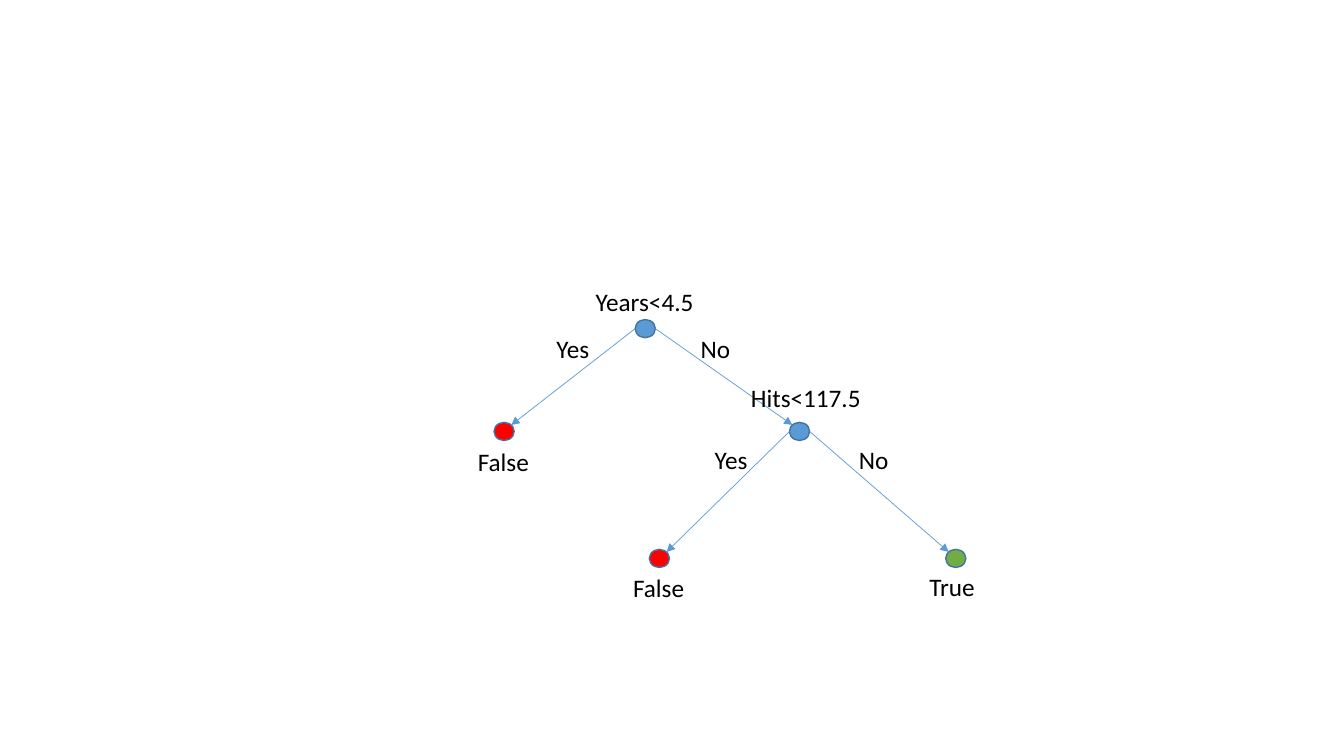
from pptx import Presentation
from pptx import util as u
from pptx.dml.color import RGBColor
from pptx.enum import shapes, text
from pptx.oxml.ns import qn
from lxml import etree

BLUE = RGBColor(0x5B, 0x9B, 0xD5)
EDGE = RGBColor(0x43, 0x73, 0x9E)
RED = RGBColor(0xFF, 0x00, 0x00)
GREEN = RGBColor(0x70, 0xAD, 0x47)
BLACK = RGBColor(0x00, 0x00, 0x00)
WIDE, HIGH = 0.2, 0.18  # size of a node
DIAG = 0.707  # 45 degree point on a node's rim


class Tree:
    font = {"name": "Calibri", "size": u.Pt(18)}
    frame = {"word_wrap": False, "auto_size": text.MSO_AUTO_SIZE.SHAPE_TO_FIT_TEXT}

    def __init__(self, slide):
        self.items = slide.shapes

    def node(self, x, y, color):
        """Draw a node centred on x, y."""
        dot = self.items.add_shape(
            shapes.MSO_SHAPE.OVAL, u.Inches(x - WIDE / 2), u.Inches(y - HIGH / 2),
            u.Inches(WIDE), u.Inches(HIGH))
        dot.shadow.inherit = False
        dot.fill.solid()
        dot.fill.fore_color.rgb = color
        dot.line.color.rgb = EDGE
        dot.line.width = u.Pt(1)

    def branch(self, start, end):
        """Run an arrow from a parent's side to the child's upper inner rim."""
        side = 1 if end[0] > start[0] else -1
        ends = (start[0] + side * WIDE / 2, start[1],
                end[0] - side * DIAG * WIDE / 2, end[1] - DIAG * HIGH / 2)
        line = self.items.add_connector(
            shapes.MSO_CONNECTOR.STRAIGHT, *[u.Inches(v) for v in ends])
        line.line.color.rgb = BLUE
        line.line.width = u.Pt(0.5)
        etree.SubElement(line.line._get_or_add_ln(), qn("a:tailEnd"), type="triangle")
        etree.SubElement(line._element.spPr, qn("a:effectLst"))

    def label(self, words, x, y, width):
        box = self.items.add_textbox(
            u.Inches(x), u.Inches(y), u.Inches(width), u.Inches(0.4))
        for key, value in self.frame.items():
            setattr(box.text_frame, key, value)
        run = box.text_frame.paragraphs[0].add_run()
        run.text = words
        for key, value in self.font.items():
            setattr(run.font, key, value)
        run.font.color.rgb = BLACK


deck = Presentation()
deck.slide_width, deck.slide_height = u.Inches(13.33), u.Inches(7.5)
tree = Tree(deck.slides.add_slide(deck.slide_layouts[6]))

# Nodes: centre and colour
nodes = {
    "years": (6.4, 3.26, BLUE),
    "young": (5.0, 4.28, RED),
    "hits": (7.93, 4.28, BLUE),
    "few": (6.54, 5.54, RED),
    "many": (9.48, 5.54, GREEN),
}
for spot in nodes.values():
    tree.node(*spot)

# Branches: each test with its yes and no child
for test, *kids in (("years", "young", "hits"), ("hits", "few", "many")):
    for kid in kids:
        tree.branch(nodes[test][:2], nodes[kid][:2])

# Tests and outcomes
for words, x, y, width in (
    ("Years<4.5", 5.81, 2.79, 1.18),
    ("Hits<117.5", 7.35, 3.74, 1.3),
    ("False", 4.64, 4.38, 0.71),
    ("False", 6.18, 5.63, 0.71),
    ("True", 9.12, 5.62, 0.66),
):
    tree.label(words, x, y, width)

# Answers along the branches
for x, y in ((5.42, 3.26), (6.99, 4.36)):
    tree.label("Yes", x, y, 0.53)
    tree.label("No", x + 1.43, y, 0.5)

deck.save("out.pptx")
